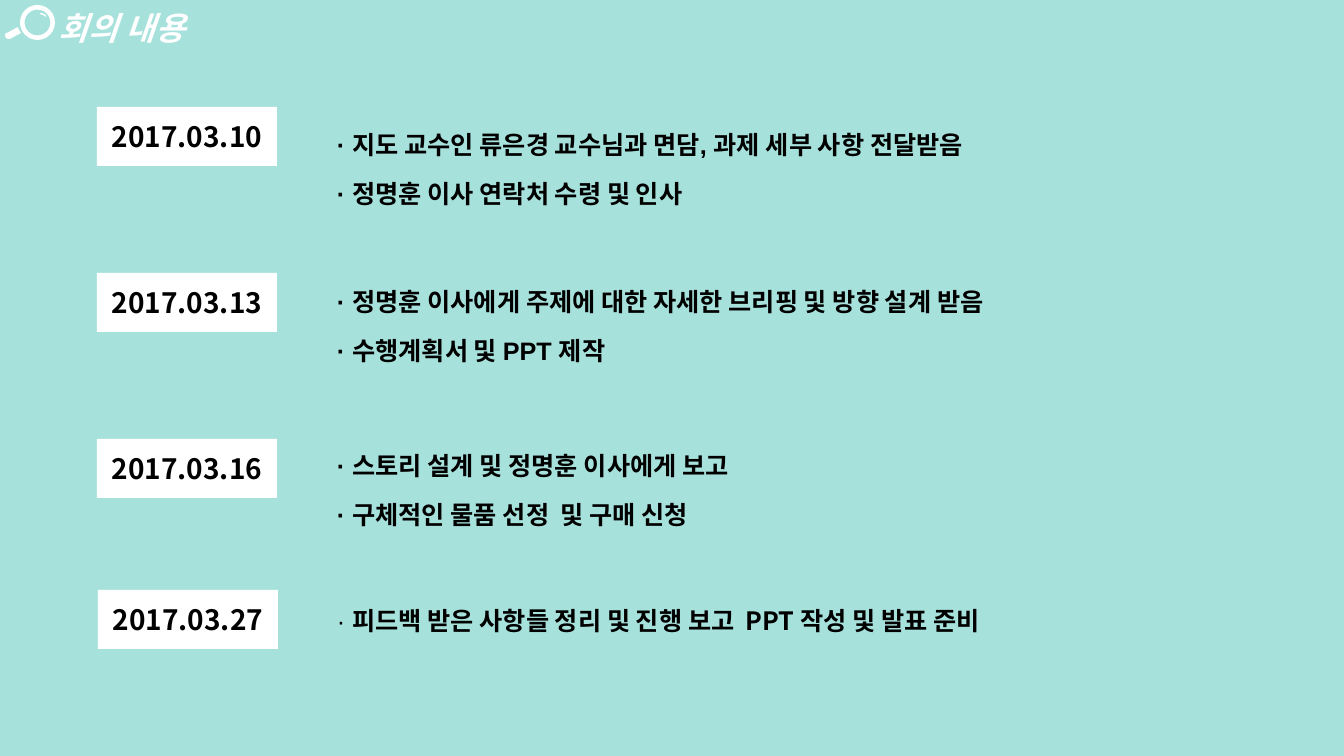
from dataclasses import dataclass

from lxml import etree
from pptx import Presentation
from pptx.dml.color import RGBColor
from pptx.enum.shapes import MSO_SHAPE
from pptx.enum.text import MSO_ANCHOR, PP_ALIGN
from pptx.oxml.ns import qn
from pptx.util import Emu, Pt

PX = 12192000 / 1344
MINT = RGBColor(0xA7, 0xE1, 0xDC)
WHITE = RGBColor(0xFF, 0xFF, 0xFF)
BLACK = RGBColor(0, 0, 0)
ARIAL = "Arial"
NOTO = "Noto Sans CJK KR"
RECTANGLE = MSO_SHAPE.RECTANGLE
DONUT = MSO_SHAPE.DONUT
MIDDLE = MSO_ANCHOR.MIDDLE
CENTER = PP_ALIGN.CENTER

HANDLE = [(21, 33), (10, 39), (8, 39), (6, 38), (5, 36), (5, 35),
          (6, 33), (7, 33), (18, 27), (19, 30)]
GLINT = [(46, 17), (45, 16), (43, 15), (40, 14), (40, 13),
         (42, 13), (44, 14), (46, 15)]


@dataclass(frozen=True)
class Box:
    left: int
    top: int
    width: int
    height: int

    def emu(self) -> list[Emu]:
        return [px(length) for length in
                (self.left, self.top, self.width, self.height)]


@dataclass(frozen=True)
class Meeting:
    date: str
    date_box: Box
    agenda_box: Box
    agenda: tuple[str, ...]
    font_name: str
    bold_marker: bool = True


MEETINGS = [
    Meeting("2017.03.10", Box(97, 107, 180, 59), Box(320, 122, 733, 120),
            ("지도 교수인 류은경 교수님과 면담, 과제 세부 사항 전달받음",
             "정명훈 이사 연락처 수령 및 인사"), ARIAL),
    Meeting("2017.03.13", Box(97, 273, 180, 59), Box(320, 279, 761, 90),
            ("정명훈 이사에게 주제에 대한 자세한 브리핑 및 방향 설계 받음",
             "수행계획서 및 PPT 제작"), ARIAL),
    Meeting("2017.03.16", Box(97, 439, 180, 59), Box(320, 443, 480, 90),
            ("스토리 설계 및 정명훈 이사에게 보고",
             "구체적인 물품 선정  및 구매 신청"), NOTO),
    Meeting("2017.03.27", Box(98, 590, 180, 59), Box(320, 598, 758, 59),
            ("피드백 받은 사항들 정리 및 진행 보고  PPT 작성 및 발표 준비",),
            NOTO, bold_marker=False),
]


def px(length: int) -> Emu:
    return Emu(round(length * PX))


def add_run(paragraph, text: str, color: RGBColor, **formats) -> None:
    """Add a run whose Hangul is always set in the Korean font."""
    run = paragraph.add_run()
    run.text = text
    for name, value in formats.items():
        setattr(run.font, name, value)
    run.font.color.rgb = color
    east_asian = etree.SubElement(run._r.get_or_add_rPr(), qn("a:ea"))
    east_asian.set("typeface", NOTO)


def paint(shape, color: RGBColor) -> None:
    shape.shadow.inherit = False
    shape.fill.solid()
    shape.fill.fore_color.rgb = color
    shape.line.fill.background()


def add_outline(slide, points: list[tuple[int, int]]) -> None:
    builder = slide.shapes.build_freeform(*points[0], scale=PX)
    builder.add_line_segments(points[1:], close=True)
    paint(builder.convert_to_shape(), WHITE)


def add_magnifier(slide) -> None:
    add_outline(slide, GLINT)
    add_outline(slide, HANDLE)
    lens = slide.shapes.add_shape(DONUT, *Box(20, 5, 35, 35).emu())
    lens.adjustments[0] = 0.13
    paint(lens, WHITE)


def add_title(slide, text: str) -> None:
    frame = slide.shapes.add_textbox(*Box(49, 1, 190, 49).emu()).text_frame
    frame.word_wrap = True
    paragraph = frame.paragraphs[0]
    paragraph.line_spacing = Pt(29)
    add_run(paragraph, text, WHITE, name=NOTO, size=Pt(23), bold=True, italic=True)


def add_date(slide, meeting: Meeting) -> None:
    shape = slide.shapes.add_shape(RECTANGLE, *meeting.date_box.emu())
    paint(shape, WHITE)
    shape.text_frame.vertical_anchor = MIDDLE
    paragraph = shape.text_frame.paragraphs[0]
    paragraph.alignment = CENTER
    add_run(paragraph, meeting.date, BLACK, name=NOTO, size=Pt(20), bold=True)


def add_agenda(slide, meeting: Meeting) -> None:
    frame = slide.shapes.add_textbox(*meeting.agenda_box.emu()).text_frame
    frame.word_wrap = True
    frame.margin_left = px(17)
    for index, entry in enumerate(meeting.agenda):
        paragraph = frame.add_paragraph() if index else frame.paragraphs[0]
        paragraph.line_spacing = Pt(23)
        if index:
            paragraph.space_before = Pt(12)
        add_run(paragraph, "· ", BLACK, name=ARIAL, size=Pt(18),
                bold=meeting.bold_marker)
        add_run(paragraph, entry, BLACK, name=meeting.font_name, size=Pt(18),
                bold=True)


def main() -> None:
    presentation = Presentation()
    presentation.slide_width = px(1344)
    presentation.slide_height = px(756)
    slide = presentation.slides.add_slide(presentation.slide_layouts[6])
    slide.background.fill.solid()
    slide.background.fill.fore_color.rgb = MINT
    add_magnifier(slide)
    add_title(slide, "회의 내용")
    for meeting in MEETINGS:
        add_date(slide, meeting)
        add_agenda(slide, meeting)
    presentation.save("out.pptx")


if __name__ == "__main__":
    main()
